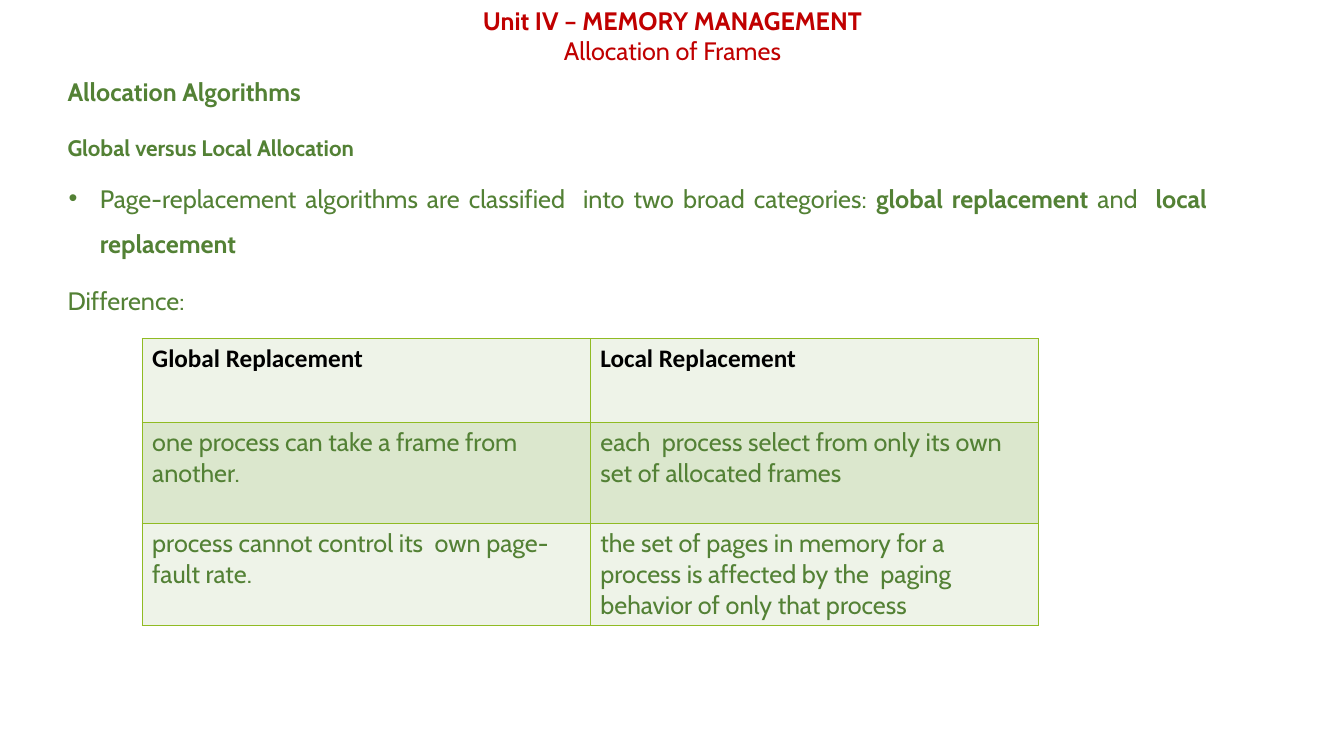
from pptx import Presentation
from pptx import util as u
from pptx.dml.color import RGBColor
from pptx.enum import text as t
from pptx.oxml import parse_xml
from pptx.oxml.ns import nsdecls

RED = RGBColor(0xC0, 0x00, 0x00)
GREEN = RGBColor(0x53, 0x81, 0x35)
BLACK = RGBColor(0x00, 0x00, 0x00)
BORDER = RGBColor(0x90, 0xBB, 0x23)
PALE = RGBColor(0xEE, 0xF3, 0xE8)
BAND = RGBColor(0xDB, 0xE7, 0xCD)
WIDTH, HEIGHT = 13.33, 7.5

ROWS = [
    ("Global Replacement", "Local Replacement"),
    ("one process can take a frame from another.",
     "each  process select from only its own set of allocated frames"),
    ("process cannot control its  own page-fault rate.",
     "the set of pages in memory for a process is affected by the  paging "
     "behavior of only that process"),
]


def add_run(p, text, size=18, color=GREEN, bold=False, font="Cabin"):
    """Append a formatted run to a paragraph."""
    r = p.add_run()
    r.text = text
    r.font.size, r.font.name, r.font.bold = u.Pt(size), font, bold
    r.font.color.rgb = color


def format_paragraph(p, align, before=0, line=1.0, margin=0.0, indent=0.0, bullet=None):
    """Set alignment, spacing, indents and bullet of a paragraph."""
    p.alignment, p.line_spacing = align, line
    p.space_before, p.space_after = u.Pt(before), u.Pt(0)
    pPr = p._p.get_or_add_pPr()
    pPr.set("marL", str(u.Inches(margin)))
    pPr.set("indent", str(u.Inches(indent)))
    if bullet:
        pPr.append(parse_xml(f'<a:buFont {nsdecls("a")} typeface="Arial"/>'))
        pPr.append(parse_xml(f'<a:buChar {nsdecls("a")} char="{bullet}"/>'))
    else:
        pPr.append(parse_xml(f'<a:buNone {nsdecls("a")}/>'))


def fill_placeholder(sp, box, paragraphs):
    """Place a placeholder in its box and write (format, runs) paragraphs."""
    sp.left, sp.top, sp.width, sp.height = map(u.Inches, box)
    tf = sp.text_frame
    tf.word_wrap, tf.auto_size = True, t.MSO_AUTO_SIZE.NONE
    tf.vertical_anchor = t.MSO_ANCHOR.TOP
    for i, (layout, runs) in enumerate(paragraphs):
        p = tf.paragraphs[0] if i == 0 else tf.add_paragraph()
        format_paragraph(p, **layout)
        for text, style in runs:
            add_run(p, text, **style)


def add_heading(s, box):
    """Write the unit and topic lines."""
    center = dict(align=t.PP_ALIGN.CENTER)
    fill_placeholder(s.shapes.title, box, [
        (center, [("Unit IV – MEMORY MANAGEMENT", dict(color=RED, bold=True))]),
        (center, [("Allocation of Frames", dict(color=RED))]),
    ])


def add_body(s, box):
    """Write the subheadings, bullet and table lead-in."""
    plain, bold = {}, dict(bold=True)
    flush = dict(align=t.PP_ALIGN.JUSTIFY, margin=0.01)
    point = dict(align=t.PP_ALIGN.JUSTIFY, before=5, line=1.5,
                 margin=0.33, indent=-0.31, bullet="•")
    fill_placeholder(s.placeholders[1], box, [
        (flush, [("Allocation Algorithms", bold)]),
        (dict(flush, before=19.5),
         [("Global versus Local Allocation", dict(size=16, bold=True))]),
        (point, [
            ("Page-replacement algorithms are classified  into two broad categories: ", plain),
            ("global replacement ", bold), ("and  ", plain), ("local replacement", bold)]),
        (dict(flush, before=8, line=1.5), [("Difference:", plain)]),
    ])


def add_borders(cell):
    """Draw a thin line on every side of a cell."""
    tcPr = cell._tc.get_or_add_tcPr()
    for side in "LRTB":
        tcPr.append(parse_xml(
            f'<a:ln{side} {nsdecls("a")} w="{u.Pt(1)}"><a:solidFill>'
            f'<a:srgbClr val="{BORDER}"/></a:solidFill></a:ln{side}>'))


def add_comparison(s, box, heights):
    """Add the two-column comparison table."""
    frame = s.shapes.add_table(len(ROWS), len(ROWS[0]), *map(u.Inches, box))
    table = frame.table
    for i, (texts, height) in enumerate(zip(ROWS, heights)):
        table.rows[i].height = u.Inches(height)
        style = dict(color=BLACK, bold=True, font="Calibri") if i == 0 else {}
        for j, text in enumerate(texts):
            cell = table.cell(i, j)
            add_borders(cell)
            cell.fill.solid()
            cell.fill.fore_color.rgb = BAND if i % 2 else PALE
            add_run(cell.text_frame.paragraphs[0], text, **style)


def main():
    """Build the slide and save it."""
    prs = Presentation()
    prs.slide_width, prs.slide_height = u.Inches(WIDTH), u.Inches(HEIGHT)
    s = prs.slides.add_slide(prs.slide_layouts[1])
    add_heading(s, (2.08, 0, 9.18, 0.71))
    add_body(s, (0.56, 0.71, 11.51, 2.99))
    add_comparison(s, (1.41, 3.36, 8.89, 2.83), (0.83, 1, 1))
    prs.save("out.pptx")


if __name__ == "__main__":
    main()
